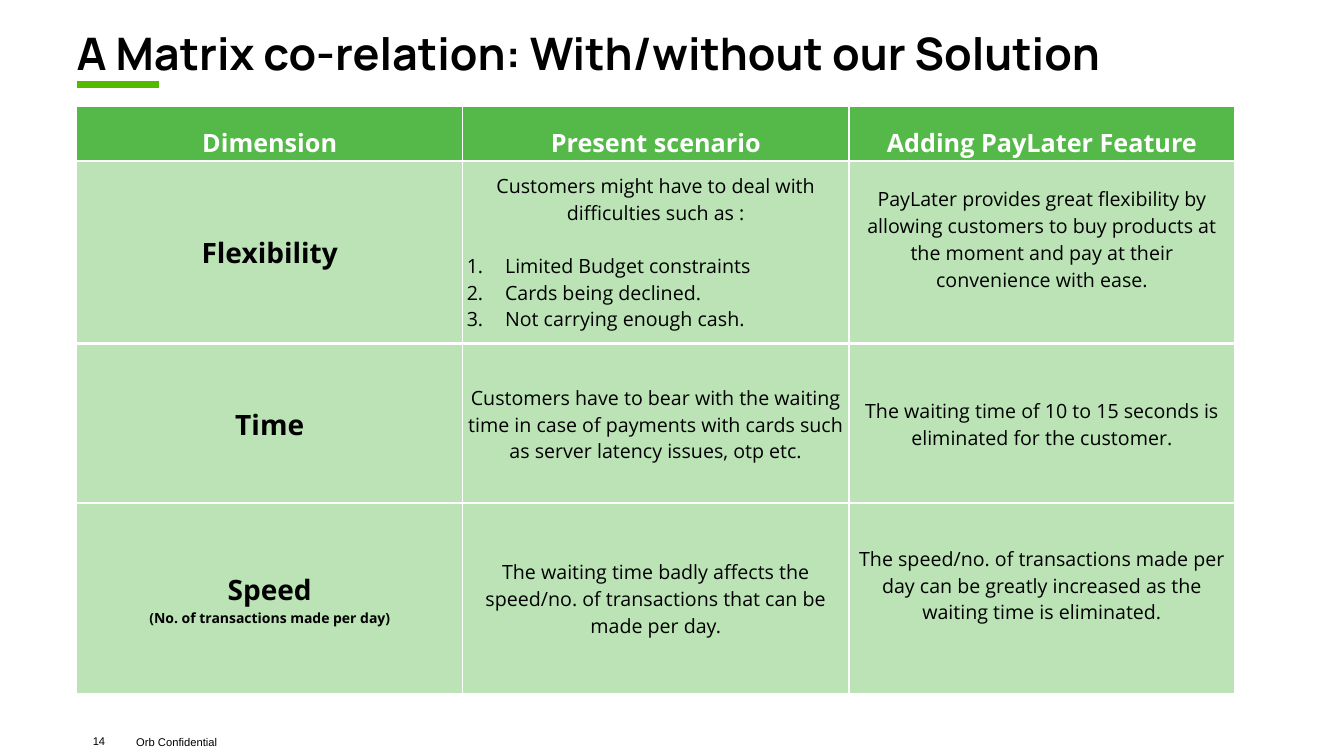
from lxml import etree
from pptx import Presentation
from pptx.dml.color import RGBColor
from pptx.enum.shapes import MSO_CONNECTOR
from pptx.enum.text import MSO_ANCHOR, PP_ALIGN
from pptx.oxml.ns import qn
from pptx.util import Inches, Pt

BLACK = RGBColor(0, 0, 0)
WHITE = RGBColor(0xFF, 0xFF, 0xFF)
ACCENT = RGBColor(0x54, 0xB9, 0x00)
HEADER_GREEN = RGBColor(0x54, 0xB9, 0x48)
PALE_GREEN = RGBColor(0xBB, 0xE3, 0xB6)
TOP, MIDDLE, BOTTOM = MSO_ANCHOR.TOP, MSO_ANCHOR.MIDDLE, MSO_ANCHOR.BOTTOM
LEFT, CENTER = PP_ALIGN.LEFT, PP_ALIGN.CENTER
STRAIGHT = MSO_CONNECTOR.STRAIGHT

TABLE_LEFT, COLUMN_WIDTH = 0.76, 3.83
BORDERS = {"a:lnL": 1, "a:lnR": 1, "a:lnT": 1, "a:lnB": 3}

HEADINGS = ["Dimension", "Present scenario", "Adding PayLater Feature"]
DIFFICULTIES = [
    "Limited Budget constraints",
    "Cards being declined.",
    "Not carrying enough cash.",
]
# top, height, dimension, present scenario, with the feature, extra bottom margin
DIMENSIONS = [
    (1.6, 1.81, "Flexibility",
     "Customers might have to deal with difficulties such as :",
     "PayLater provides great flexibility by allowing customers to buy "
     "products at the moment and pay at their convenience with ease.", 0.26),
    (3.42, 1.58, "Time",
     "Customers have to bear with the waiting time in case of payments with "
     "cards such as server latency issues, otp etc.",
     "The waiting time of 10 to 15 seconds is eliminated for the customer.", 0),
    (4.99, 1.9, "Speed",
     "The waiting time badly affects the speed/no. of transactions that can "
     "be made per day.",
     "The speed/no. of transactions made per day can be greatly increased as "
     "the waiting time is eliminated.", 0.26),
]


def write(tf, text, size=14, font="Open Sans", color=BLACK, bold=False,
          align=CENTER, numbered=False, before=None, spacing=None):
    """Fill the first paragraph, or add one if it is already in use."""
    p = tf.paragraphs[0] if not tf.text else tf.add_paragraph()
    if numbered:
        pPr = p._p.get_or_add_pPr()
        pPr.set("marL", str(Inches(0.38)))
        pPr.set("indent", str(-Inches(0.38)))
        etree.SubElement(pPr, qn("a:buFont"), typeface="+mj-lt")
        etree.SubElement(pPr, qn("a:buAutoNum"), type="arabicPeriod")
    p.alignment = align
    if before:
        p.space_before = before
    if spacing:
        p.line_spacing = spacing
    r = p.add_run()
    r.text = text
    r.font.size = Pt(size)
    r.font.name = font
    r.font.bold = bold
    r.font.color.rgb = color


def set_margins(box, left, top, right, bottom):
    box.margin_left, box.margin_top = Inches(left), Inches(top)
    box.margin_right, box.margin_bottom = Inches(right), Inches(bottom)


def add_text(s, left, top, width, height, text, anchor=MIDDLE,
             margins=(0, 0.05, 0.1, 0.05), wrap=True, **fmt):
    tf = s.shapes.add_textbox(Inches(left), Inches(top), Inches(width),
                              Inches(height)).text_frame
    tf.word_wrap = wrap
    tf.vertical_anchor = anchor
    set_margins(tf, *margins)
    write(tf, text, align=LEFT, **fmt)


def add_rule(s, left, right, y):
    line = s.shapes.add_connector(STRAIGHT, Inches(left), Inches(y),
                                  Inches(right), Inches(y))
    line.line.color.rgb = ACCENT
    line.line.width = Pt(4.5)
    etree.SubElement(line._element.spPr, qn("a:effectLst"))


def style_cell(cell, fill, anchor):
    cell.vertical_anchor = anchor
    set_margins(cell, 0.04, 0.02, 0.04, 0.02)
    tcPr = cell._tc.get_or_add_tcPr()
    for tag, width in BORDERS.items():
        ln = etree.SubElement(tcPr, qn(tag), w=str(Pt(width)))
        solid = etree.SubElement(ln, qn("a:solidFill"))
        etree.SubElement(solid, qn("a:srgbClr"), val=str(WHITE))
    cell.fill.solid()
    cell.fill.fore_color.rgb = fill


def add_band(s, top, height, fill, anchor=MIDDLE, header=False):
    """Add a one-row table and return its three cells."""
    table = s.shapes.add_table(1, 3, Inches(TABLE_LEFT), Inches(top),
                               Inches(3 * COLUMN_WIDTH), Inches(height)).table
    table.first_row = header
    table.horz_banding = False
    for column in table.columns:
        column.width = Inches(COLUMN_WIDTH)
    cells = list(table.rows[0].cells)
    for cell in cells:
        style_cell(cell, fill, anchor)
    return cells


def add_matrix(s):
    for cell, heading in zip(add_band(s, 1.06, 0.55, HEADER_GREEN, BOTTOM, True),
                             HEADINGS):
        write(cell.text_frame, heading, size=18, color=WHITE, bold=True)
    for top, height, name, present, added, extra in DIMENSIONS:
        cells = add_band(s, top, height, PALE_GREEN)
        for cell, text, size in zip(cells, (name, present, added), (20, 14, 14)):
            write(cell.text_frame, text, size=size, bold=size == 20)
        cells[2].margin_bottom = Inches(0.02 + extra)
        if name == "Flexibility":
            for i, item in enumerate(DIFFICULTIES):
                write(cells[1].text_frame, item, align=LEFT, numbered=True,
                      before=None if i else Pt(19))
        elif name == "Speed":
            write(cells[0].text_frame, "(No. of transactions made per day)",
                  size=10, bold=True)


def main():
    prs = Presentation()
    prs.slide_width, prs.slide_height = Inches(13.33), Inches(7.5)
    s = prs.slides.add_slide(prs.slide_layouts[6])
    add_text(s, 0.76, 0.14, 11.01, 0.96,
             "A Matrix co-relation: With/without our Solution",
             size=32, font="Manrope", bold=True, spacing=Pt(24))
    add_text(s, 1.35, 7.22, 4.5, 0.28, "Orb Confidential", size=8, font="Arial")
    add_text(s, 0.92, 7.22, 0.22, 0.25, "14", anchor=TOP, wrap=False,
             margins=(0, 0.06, 0.06, 0.06), size=8, font="Arial")
    add_rule(s, 0.76, 1.58, 0.84)
    add_matrix(s)
    prs.save("out.pptx")


if __name__ == "__main__":
    main()
